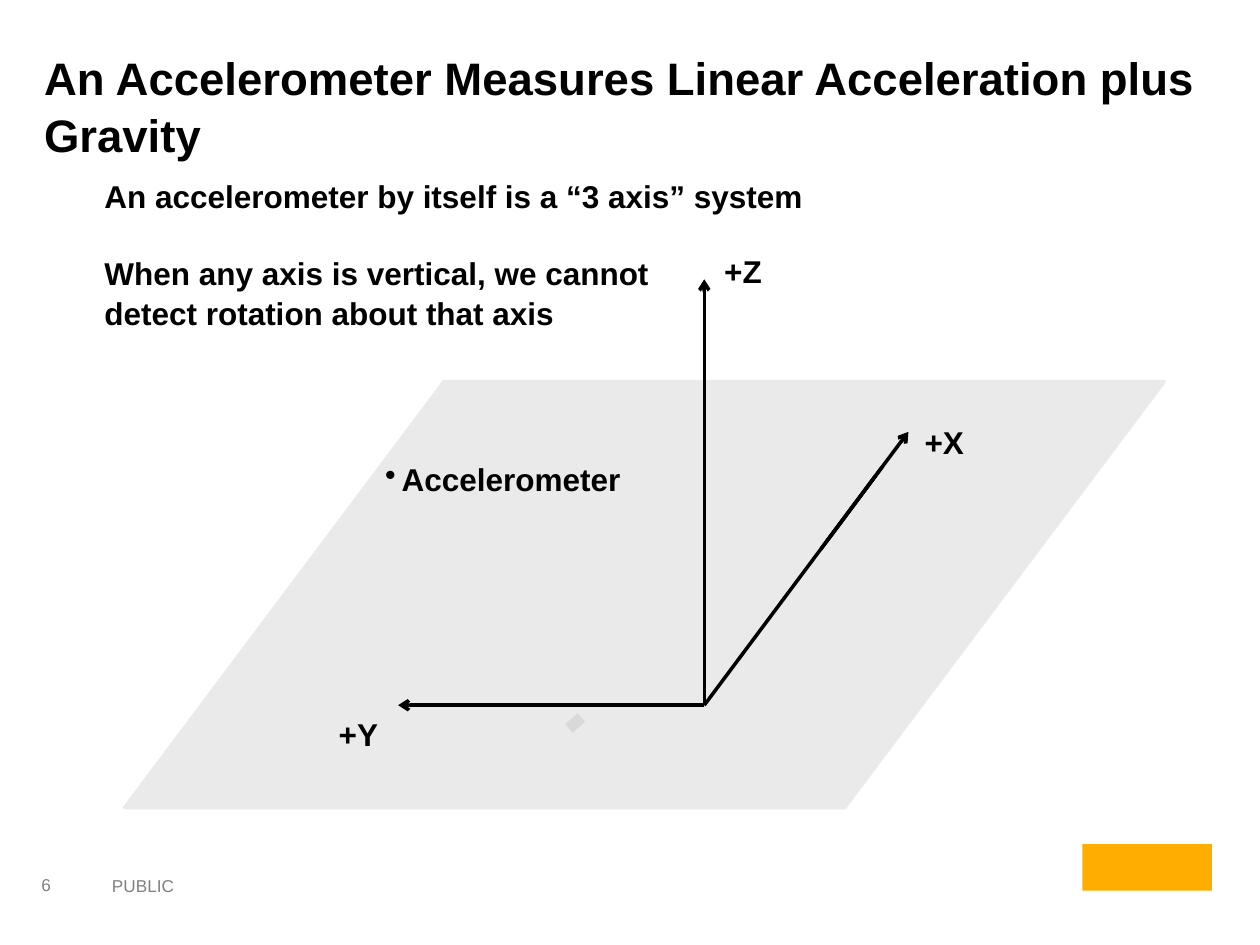
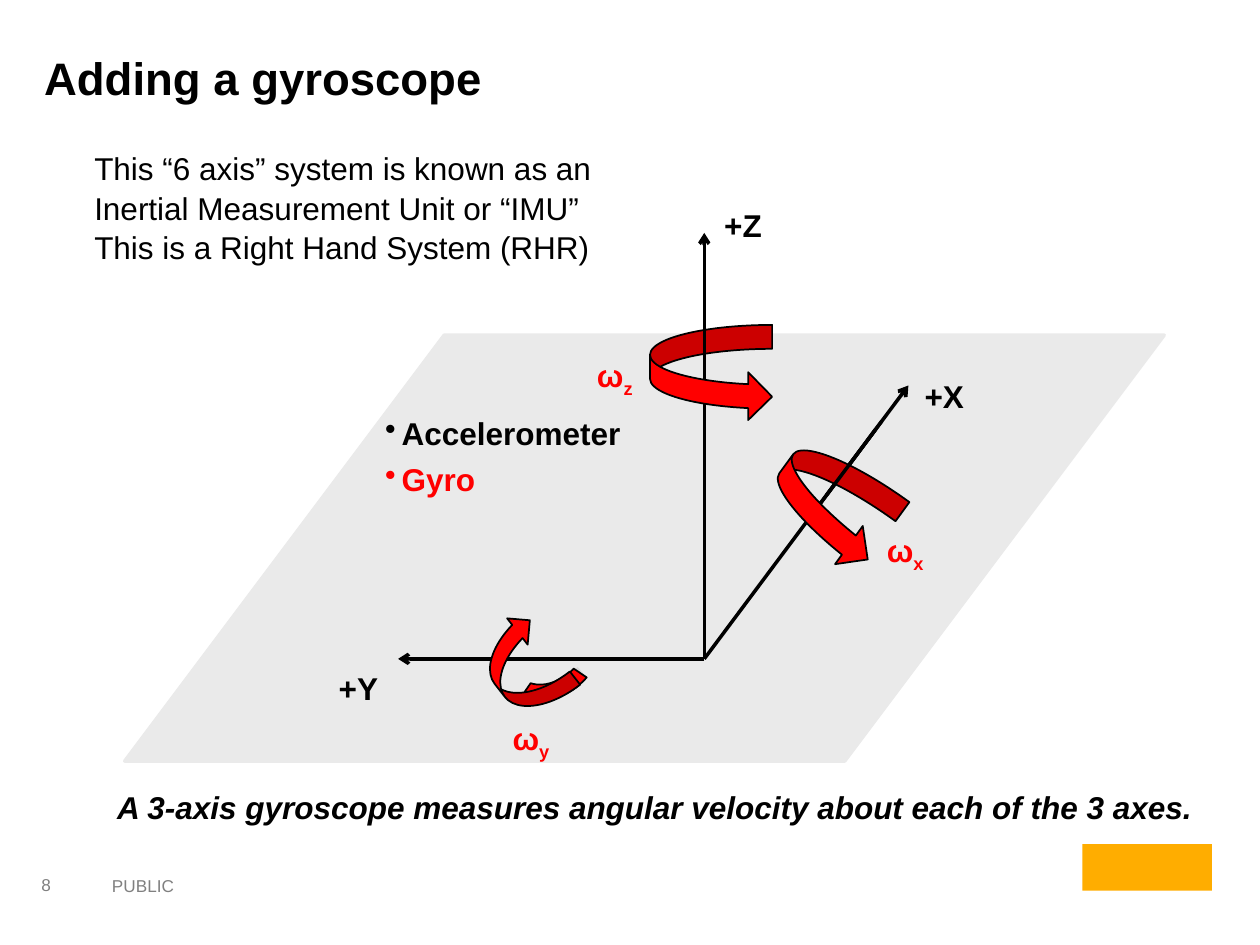
from lxml import etree
from pptx import Presentation
from pptx.dml.color import RGBColor
from pptx.enum.shapes import MSO_CONNECTOR, MSO_SHAPE as Shape
from pptx.enum.text import MSO_ANCHOR as Anchor, MSO_AUTO_SIZE as AutoSize
from pptx.oxml.ns import qn
from pptx.util import Pt

FONT = "Arial"
BLACK, RED, GREY = "000000", "FF0000", "808080"
PLANE, PATCH, AMBER = "EAEAEA", "D9D9D9", "FFAD00"
LINE_SPACING = 1.05
LINE_HEIGHT = 21.6
LABEL_HEIGHT = 28.8
PLANE_LEFT = 71.25

# Axis geometry in points, measured from the plane's top left corner.
ORIGIN = (331.2, 185)
TIPS = {"Y": (156.25, 185), "Z": (331.2, -58.4), "X": (447.85, 28.8)}
AXIS_LABELS = {"Y": (115.2, 186), "X": (450, 19.4), "Z": (335.5, -78.5)}
# Overlaid stretches: axis, then start and end as fractions of its length.
BACK_STRETCHES = [("Y", 0.67, 0.44), ("Y", 0.56, 0.33),
                  ("X", 0.84, 0.57), ("Z", 0.88, 0.66)]
FRONT_STRETCHES = [("Y", 0.46, 0.22), ("Z", 0.82, 0.71), ("X", 0.6, 0.87)]


def color(value):
    return RGBColor.from_string(value)


def format_font(font, size, fill, bold=False, italic=False):
    font.name, font.size = FONT, Pt(size)
    font.bold, font.italic = bold, italic
    font.color.rgb = color(fill)


def add_text(page, text, left, top, width, height=LABEL_HEIGHT, *, size=18,
             fill=BLACK, bold=True, italic=False, wrap=False, bullet=False,
             subscript="", gap=0, anchor=Anchor.TOP):
    """Write one paragraph per line of text; gap precedes the second one."""
    box = page.shapes.add_textbox(Pt(left), Pt(top), Pt(width), Pt(height))
    frame = box.text_frame
    frame.word_wrap = wrap
    frame.auto_size = AutoSize.NONE if wrap else AutoSize.SHAPE_TO_FIT_TEXT
    frame.vertical_anchor = anchor
    for index, line in enumerate(text.split("\n")):
        para = frame.add_paragraph() if index else frame.paragraphs[0]
        para.line_spacing = LINE_SPACING
        if index == 1 and gap:
            para.space_before = Pt(gap)
        if bullet:
            props = para._p.get_or_add_pPr()
            props.set("marL", str(Pt(9.4)))
            props.set("indent", str(-Pt(9.4)))
            etree.SubElement(props, qn("a:buChar"), char="•")
        format_font(para.font, size, fill, bold, italic)
        for part in filter(None, (line, subscript)):
            span = para.add_run()
            span.text = part
            format_font(span.font, size, fill, bold, italic)
        if subscript:
            span._r.get_or_add_rPr().set("baseline", "-25000")
    return box


def add_solid(page, kind, left, top, width, height, fill, line=None,
              line_width=1, rotation=0, flip=False):
    solid = page.shapes.add_shape(kind, Pt(left), Pt(top), Pt(width), Pt(height))
    solid.shadow.inherit = False
    solid.fill.solid()
    solid.fill.fore_color.rgb = color(fill)
    if line:
        solid.line.color.rgb = color(line)
        solid.line.width = Pt(line_width)
    else:
        solid.line.fill.background()
    solid.rotation = rotation
    if flip:
        solid._element.spPr.find(qn("a:xfrm")).set("flipV", "1")
    return solid


def add_line(page, start, end, arrow=False):
    line = page.shapes.add_connector(MSO_CONNECTOR.STRAIGHT,
                                     *(Pt(value) for value in (*start, *end)))
    line.line.color.rgb = color(BLACK)
    line.line.width = Pt(2)
    props = line._element.spPr
    if arrow:
        etree.SubElement(props.find(qn("a:ln")), qn("a:tailEnd"), type="arrow")
    etree.SubElement(props, qn("a:effectLst"))


def add_page(deck, title, number):
    """Add a slide with its title, footer and corner mark."""
    page = deck.slides.add_slide(deck.slide_layouts[5])
    head = page.shapes.title
    head.left, head.top, head.width, head.height = map(Pt, (18, 22, 689, 52))
    frame = head.text_frame
    frame.word_wrap = True
    frame.auto_size = AutoSize.NONE
    frame.vertical_anchor = Anchor.TOP
    frame.margin_top = Pt(5)
    frame.text = title
    para = frame.paragraphs[0]
    para.alignment = 1
    para.line_spacing = LINE_SPACING
    format_font(para.runs[0].font, 26, BLACK, bold=True)
    footer = dict(size=9.8, fill=GREY, bold=False, wrap=True)
    box = add_text(page, str(number), 19.4, 494.6, 35.3, 21.6,
                   anchor=Anchor.MIDDLE, **footer)
    box.text_frame.margin_left = box.text_frame.margin_right = Pt(4.3)
    add_text(page, "PUBLIC", 56.9, 496, 276.5, 24.5, **footer)
    add_solid(page, Shape.RECTANGLE, 618.5, 482.4, 74, 26.6, AMBER)
    return page


def add_stretches(page, top, stretches):
    def point(axis, part):
        x, y = (base + part * (tip - base) for base, tip in zip(ORIGIN, TIPS[axis]))
        return PLANE_LEFT + x, top + y

    for axis, start, end in stretches:
        add_line(page, point(axis, start), point(axis, end), arrow=end == 1)


def add_axes(page, top):
    """Draw the ground plane with three labelled axes; top is the plane's."""
    plane = add_solid(page, Shape.PARALLELOGRAM, PLANE_LEFT, top, 594, 243.4,
                      PLANE, PLANE, 2)
    plane.adjustments[0] = 0.75
    add_stretches(page, top, [(axis, 0, 1) for axis in TIPS])
    add_stretches(page, top, BACK_STRETCHES)
    for axis, (x, y) in AXIS_LABELS.items():
        add_text(page, "+" + axis, PLANE_LEFT + x, top + y, 37)
    add_solid(page, Shape.RECTANGLE, PLANE_LEFT + 252.7, top + 191.9, 9.4, 6.5,
              PATCH, rotation=319, flip=True)
    add_text(page, "Accelerometer", PLANE_LEFT + 141.8, top + 40.3, 149.8,
             bullet=True)


def add_rotations(page, top):
    """Draw the red turning arrows and their labels; top is the plane's."""
    def turn(kind, x, y, width, height, **style):
        return add_solid(page, kind, PLANE_LEFT + x, top + y, width, height,
                         RED, BLACK, **style)

    for axis, x, y in (("z", 262.8, 7.2), ("x", 428.4, 107.3), ("y", 214.6, 214.6)):
        add_text(page, "ω", PLANE_LEFT + x, top + y, 36.5, fill=RED, subscript=axis)
    turn(Shape.CURVED_RIGHT_ARROW, 300.2, -5.8, 69.8, 54.7)
    turn(Shape.CURVED_RIGHT_ARROW, 369.4, 69.8, 69.8, 54, rotation=36)
    arc = turn(Shape.BLOCK_ARC, 219.6, 151.2, 48.2, 61.2, rotation=232, flip=True)
    # Angles are stored in 1/60000 degree, adjustments in 1/100000.
    for index, value in enumerate((107.48 * 0.6, 197.71 * 0.6, 0.185)):
        arc.adjustments[index] = value
    turn(Shape.CURVED_RIGHT_ARROW, 208.8, 161.3, 38.2, 56.2, rotation=322, flip=True)
    add_text(page, "Gyro", PLANE_LEFT + 141.8, top + 67, 66.2, fill=RED, bullet=True)


def build_accelerometer(deck):
    page = add_page(
        deck, "An Accelerometer Measures Linear Acceleration plus Gravity", 6)
    top = 218
    add_axes(page, top)
    add_stretches(page, top, FRONT_STRETCHES)
    add_text(page, "An accelerometer by itself is a “3 axis” system\n"
             "When any axis is vertical, we cannot\ndetect rotation about that axis",
             52.6, 96.5, 417.6, 94.3, gap=LINE_HEIGHT)


def build_gyroscope(deck):
    page = add_page(deck, "Adding a gyroscope", 8)
    top = 191.5
    add_text(page, "This “6 axis” system is known as an Inertial Measurement "
             "Unit or “IMU”\nThis is a Right Hand System (RHR)",
             46.8, 80.6, 328.3, 72.7, bold=False, wrap=True)
    add_axes(page, top)
    add_rotations(page, top)
    add_stretches(page, top, FRONT_STRETCHES)
    add_text(page, "A 3-axis gyroscope measures angular velocity about each of "
             "the 3 axes.", 59.8, 445.7, 640, italic=True)


def main():
    deck = Presentation()
    deck.slide_width, deck.slide_height = Pt(720), Pt(540)
    build_accelerometer(deck)
    build_gyroscope(deck)
    deck.save("out.pptx")


if __name__ == "__main__":
    main()
